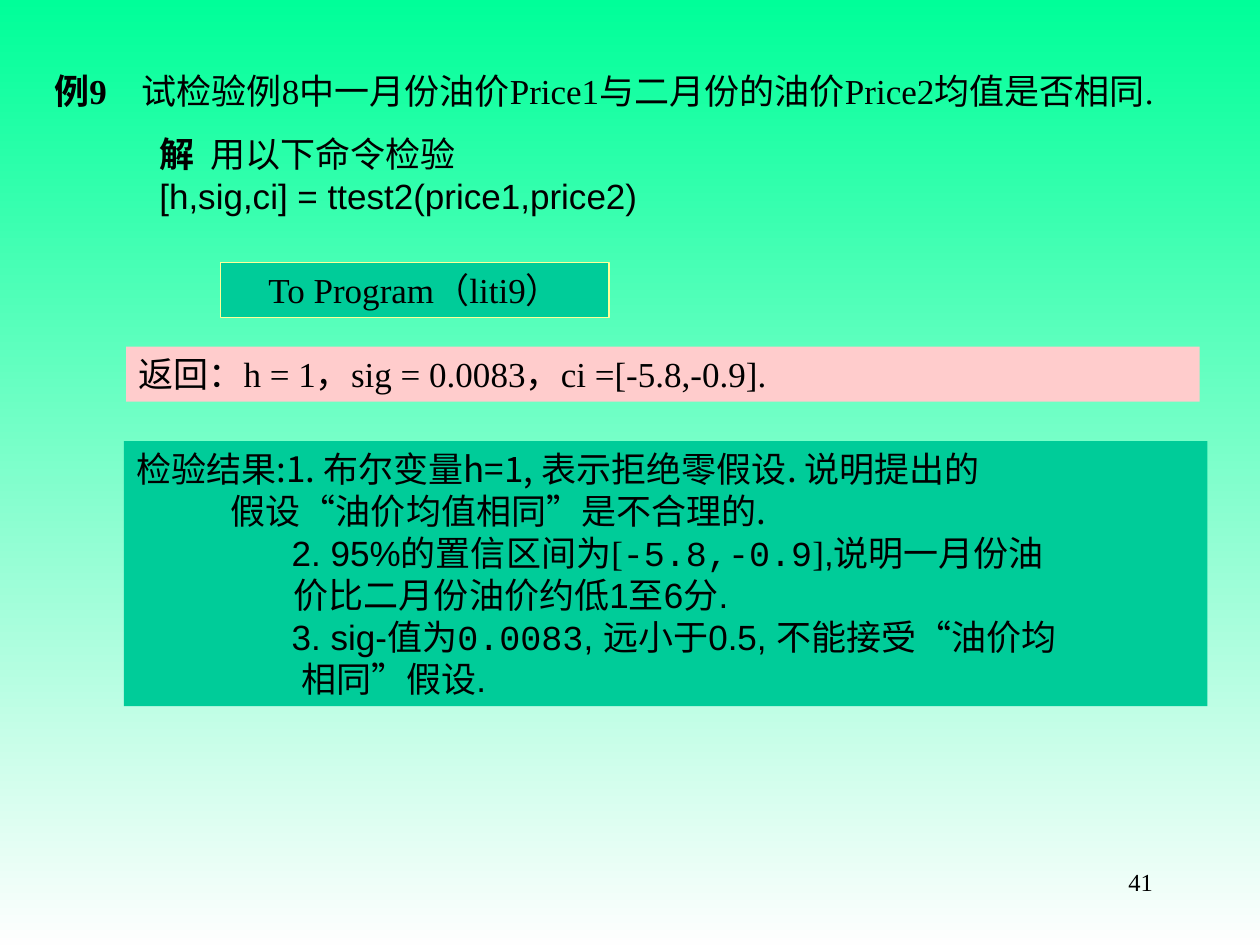
from lxml.etree import SubElement
from pptx import Presentation
from pptx.dml.color import RGBColor
from pptx.enum.shapes import MSO_SHAPE as Preset
from pptx.enum.text import MSO_ANCHOR as Anchor, PP_ALIGN as Align
from pptx.oxml.ns import qn
from pptx.util import Inches, Pt

COLUMNS, ROWS = 120, 90
CELL = Inches(10) // COLUMNS
SERIF, SANS, MONO, HAN = "Times New Roman", "Arial", "Courier New", "Noto Sans CJK SC"
INK, GREEN, PINK, CREAM = "000000", "00CC99", "FFCCCC", "FFFF99"


def colour(value):
    return RGBColor.from_string(value)


def cells(count):
    return round(count * CELL)


def apply(target, values):
    for name, value in values.items():
        setattr(target, name, value)


def add_block(page, box, fill=None, line=None):
    block = page.shapes.add_shape(Preset.RECTANGLE, *map(cells, box))
    block.shadow.inherit = False
    if fill:
        block.fill.solid()
        block.fill.fore_color.rgb = colour(fill)
    else:
        block.fill.background()
    if line:
        block.line.color.rgb = colour(line)
        block.line.width = Pt(0.75)
    else:
        block.line.fill.background()
    apply(block.text_frame, {"word_wrap": True, "vertical_anchor": Anchor.TOP})
    return block.text_frame


def add_spans(para, spans, size=20):
    for text, font, *bold in spans:
        span = para.add_run()
        span.text = text
        apply(span.font, {"size": Pt(size), "name": font, "bold": bool(bold)})
        span.font.color.rgb = colour(INK)
        SubElement(span.font._element, qn("a:ea"), typeface=HAN)


def set_indent(para, columns):
    para._p.get_or_add_pPr().set("marL", str(cells(columns)))


def set_tab(para, columns):
    stops = SubElement(para._p.get_or_add_pPr(), qn("a:tabLst"))
    SubElement(stops, qn("a:tab"), pos=str(cells(columns)), algn="l")


def paint_background(page):
    fill = page.background.fill
    fill.gradient()
    fill.gradient_angle = 270
    for stop, value in zip(fill.gradient_stops, ("00FF99", "FEFEFE")):
        stop.color.rgb = colour(value)


def add_question(page, box):
    para = add_block(page, box).paragraphs[0]
    para.alignment = Align.LEFT
    set_tab(para, 8.3)
    add_spans(para, [
        ("例9", SERIF, True),
        ("\t试检验例8中一月份油价Price1与二月份的油价Price2均值是否相同.", SERIF),
    ])


def add_solution(page, box):
    frame = add_block(page, box)
    heading, command = frame.paragraphs[0], frame.add_paragraph()
    heading.alignment = command.alignment = Align.LEFT
    set_tab(heading, 4.85)
    add_spans(heading, [("解", HAN, True), ("\t用以下命令检验", HAN)])
    add_spans(command, [("[h,sig,ci] = ttest2(price1,price2)", SANS)])


def add_button(page, box):
    para = add_block(page, box, GREEN, CREAM).paragraphs[0]
    apply(para, {"alignment": Align.CENTER, "space_before": Pt(12.5)})
    add_spans(para, [("To Program（liti9）", SERIF)])


def add_output(page, box):
    para = add_block(page, box, PINK).paragraphs[0]
    para.alignment = Align.LEFT
    add_spans(para, [("返回：h = 1，sig = 0.0083，ci =[-5.8,-0.9].", SERIF)])


def add_findings(page, box):
    lines = [
        (0, [("检验结果:1. 布尔变量h=1, 表示拒绝零假设. 说明提出的", HAN)]),
        (9, [("假设“油价均值相同”是不合理的.", HAN)]),
        (14.8, [("2. 95%的置信区间为", SANS), ("[", SERIF), ("-5.8,-0.9", MONO),
                ("]", SERIF), (",说明一月份油", SANS)]),
        (15, [("价比二月份油价约低1至6分.", SANS)]),
        (14.8, [("3. sig-值为", SANS), ("0.0083", MONO),
                (", 远小于0.5, 不能接受“油价均", SANS)]),
        (15.7, [("相同”假设.", SANS)]),
    ]
    frame = add_block(page, box, GREEN)
    for index, (indent, spans) in enumerate(lines):
        para = frame.add_paragraph() if index else frame.paragraphs[0]
        para.alignment = Align.JUSTIFY
        set_indent(para, indent)
        add_spans(para, spans)


def add_page_number(page, box):
    para = add_block(page, box).paragraphs[0]
    para.alignment = Align.RIGHT
    add_spans(para, [("41", SERIF)], size=14)


def main():
    deck = Presentation()
    apply(deck, {"slide_width": COLUMNS * CELL, "slide_height": ROWS * CELL})
    page = deck.slides.add_slide(deck.slide_layouts[6])
    paint_background(page)
    add_output(page, (12, 33, 102.25, 5.25))
    add_findings(page, (11.8, 42, 103.2, 25.25))
    add_button(page, (21, 25, 37, 5.25))
    add_question(page, (4, 6, 116, 5.25))
    add_solution(page, (14, 12, 99.25, 9.25))
    add_page_number(page, (86, 82, 25, 6))
    deck.save("out.pptx")


if __name__ == "__main__":
    main()
